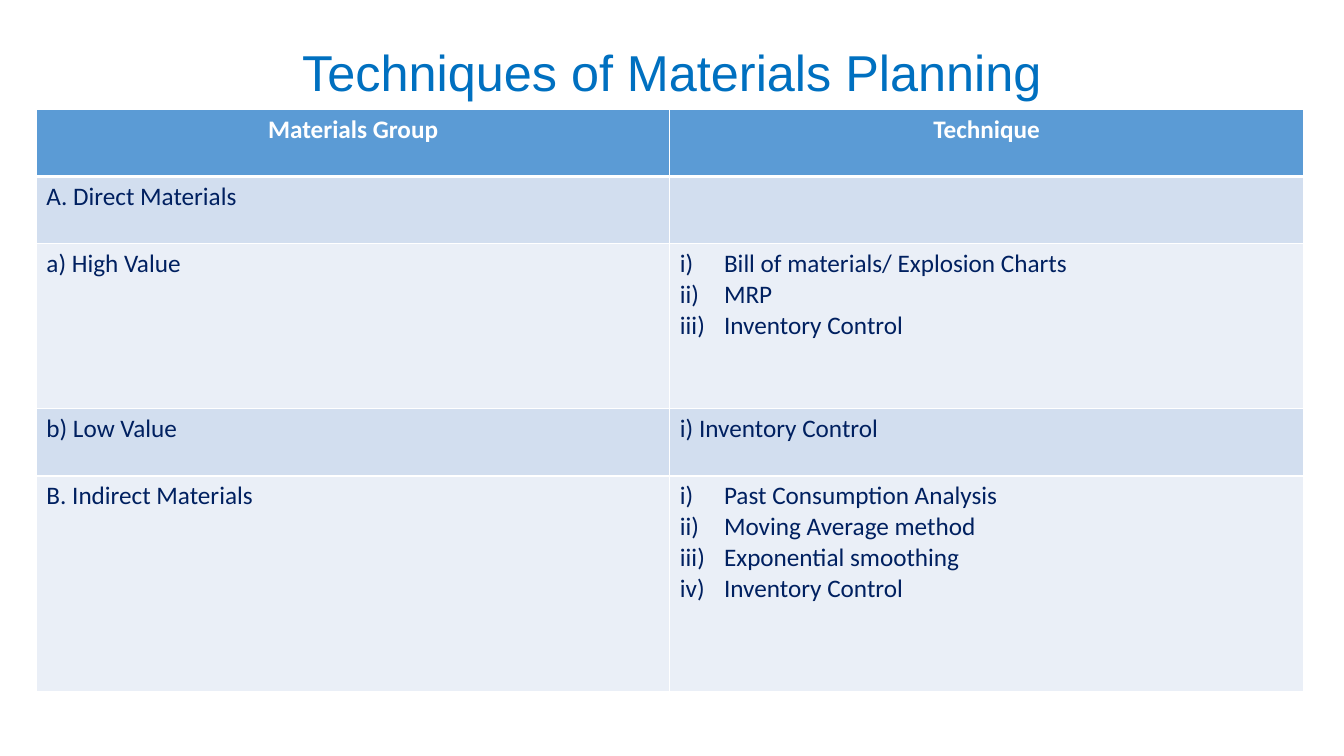
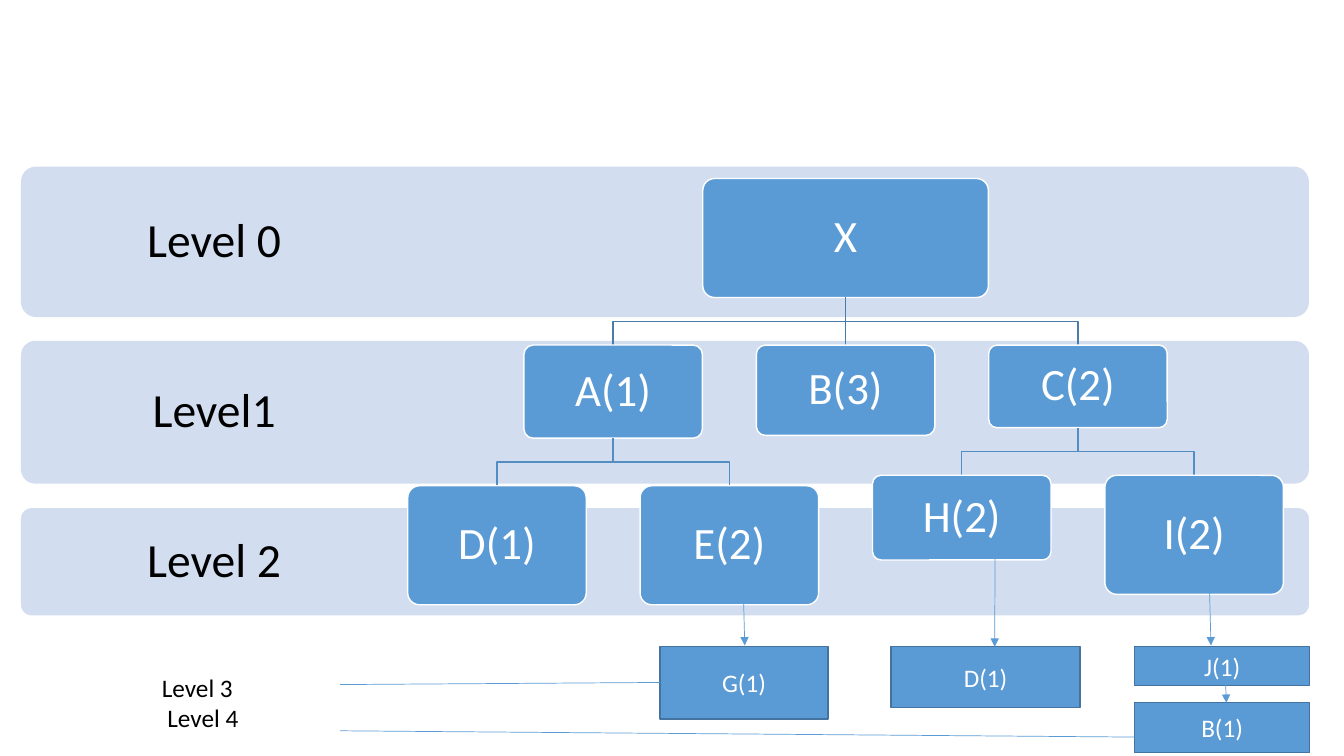
from lxml.etree import SubElement
from pptx import Presentation
from pptx.dml.color import RGBColor
from pptx.enum.shapes import MSO_CONNECTOR as Connector, MSO_SHAPE as Shape
from pptx.enum.text import MSO_ANCHOR as Anchor, MSO_AUTO_SIZE as AutoSize, PP_ALIGN as Align
from pptx.oxml.ns import qn
from pptx.util import Pt

BLUE, PALE, PALER, WHITE, BLACK = "5B9BD5", "D2DEEF", "EAEFF7", "FFFFFF", "000000"
NAVY, TITLE_BLUE, BOX_EDGE = "002060", "0070C0", "43739E"
LINK_COLORS = ["497CAB", "538DC1"]

TABLE_ROWS = [
    (48, "Materials Group", "Technique"),
    (48, "A. Direct Materials", ""),
    (118, "a) High Value", ["Bill of materials/ Explosion Charts", "MRP", "Inventory Control"]),
    (48, "b) Low Value", "i) Inventory Control"),
    (154, "B. Indirect Materials", ["Past Consumption Analysis", "Moving Average method",
                                    "Exponential smoothing", "Inventory Control"]),
]

LEVELS = [("Level 2", 363, 76.5), ("Level1", 243.5, 102), ("Level 0", 119, 107.5)]
BAND_LEFT, BAND_WIDTH, LABEL_WIDTH = 15, 920, 276

FIRST_CENTER, SLOT, LINK_DROP = 355, 166, 34
PART_WIDTH = 127.5
PRODUCT = ("X", 1.5, 85, [
    ("A(1)", 0.5, 66.5, [("D(1)", 0, 85, []), ("E(2)", 1, 85, [])]),
    ("B(3)", 1.5, 64.5, []),
    ("C(2)", 2.5, 59, [("H(2)", 2, 60.5, []), ("I(2)", 3, 85, [])]),
])

LOWER_PARTS = [
    ("G(1)", 471.5, 462, 120, 51.5),
    ("D(1)", 636.5, 462, 135, 43.5),
    ("J(1)", 810.5, 462, 125, 27.5),
    ("B(1)", 810.5, 502, 125, 35.5),
]
ARROWS = [
    (531, 423.5, 532, 461),
    (710.8, 397, 710.5, 462),
    (864, 423.5, 865, 461),
    (875.5, 489, 876, 502),
]
LEVEL_LINES = [(471.5, 487.5, 243, 489), (810.5, 526.5, 243, 522)]


def rgb(value):
    return RGBColor.from_string(value)


def write(frame, text, size=18, color=BLACK, font="Calibri", bold=False, align=Align.LEFT,
          spacing=1.0, anchor=Anchor.TOP, inset=None, indents=(), numbered=False):
    frame.word_wrap = True
    frame.auto_size = AutoSize.NONE
    frame.vertical_anchor = anchor
    if inset is not None:
        frame.margin_left = frame.margin_right = Pt(inset)
        frame.margin_top = frame.margin_bottom = Pt(inset)
    lines = [text] if isinstance(text, str) else text
    for index, line in enumerate(lines):
        paragraph = frame.paragraphs[0] if index == 0 else frame.add_paragraph()
        paragraph.text = line
        properties = paragraph._p.get_or_add_pPr()
        if numbered:
            properties.set("marL", str(Pt(31.5)))
            properties.set("indent", str(-Pt(31.5)))
            SubElement(properties, qn("a:buAutoNum"), type="romanLcParenR")
        elif indents:
            properties.set("marL", str(Pt(indents[index])))
        paragraph.alignment = align
        paragraph.line_spacing = spacing
        style = paragraph.font
        style.size, style.name, style.bold = Pt(size), font, bold
        style.color.rgb = rgb(color)


def add_block(slide, kind, left, top, width, height, fill, edge=None):
    block = slide.shapes.add_shape(kind, Pt(left), Pt(top), Pt(width), Pt(height))
    block.shadow.inherit = False
    block.fill.solid()
    block.fill.fore_color.rgb = rgb(fill)
    if edge:
        block.line.color.rgb = rgb(edge)
        block.line.width = Pt(1)
    else:
        block.line.fill.background()
    if kind == Shape.ROUNDED_RECTANGLE:
        block.adjustments[0] = 0.1
    return block


def add_line(slide, start_x, start_y, end_x, end_y, color=BLUE, width=0.5, arrow=False):
    line = slide.shapes.add_connector(
        Connector.STRAIGHT, Pt(start_x), Pt(start_y), Pt(end_x), Pt(end_y))
    line.line.color.rgb = rgb(color)
    line.line.width = Pt(width)
    if arrow:
        SubElement(line.line._get_or_add_ln(), qn("a:tailEnd"), type="triangle")
    SubElement(line._element.spPr, qn("a:effectLst"))


def add_link(slide, start_x, start_y, end_x, end_y, color):
    if start_x == end_x:
        add_line(slide, start_x, start_y, end_x, end_y, color, 1)
        return
    middle = (start_y + end_y) / 2
    builder = slide.shapes.build_freeform(Pt(start_x), Pt(start_y))
    bends = [(start_x, middle), (end_x, middle), (end_x, end_y)]
    builder.add_line_segments([(Pt(x), Pt(y)) for x, y in bends], close=False)
    link = builder.convert_to_shape()
    link.shadow.inherit = False
    link.fill.background()
    link.line.color.rgb = rgb(color)
    link.line.width = Pt(1)


def add_part(slide, part, top, depth=0):
    name, slot, height, children = part
    center = FIRST_CENTER + SLOT * slot
    width = PART_WIDTH if depth else 204
    box = add_block(slide, Shape.ROUNDED_RECTANGLE, center - width / 2, top, width, height,
                    BLUE, WHITE)
    write(box.text_frame, name, size=32, color=WHITE, align=Align.CENTER, spacing=0.9,
          anchor=Anchor.MIDDLE, inset=9.5)
    bottom = top + height
    for child in children:
        child_top = bottom + LINK_DROP
        add_link(slide, center, bottom, FIRST_CENTER + SLOT * child[1], child_top,
                 LINK_COLORS[depth])
        add_part(slide, child, child_top, depth + 1)


def add_level(slide, label, top, height):
    band = add_block(slide, Shape.ROUNDED_RECTANGLE, BAND_LEFT, top, BAND_WIDTH, height, PALE)
    write(band.text_frame, label, size=34, align=Align.CENTER, spacing=0.9,
          anchor=Anchor.MIDDLE, inset=18.5)
    band.text_frame.margin_right = Pt(BAND_WIDTH - LABEL_WIDTH + 18.5)


def set_borders(cell, row):
    widths = {"L": 1, "R": 1, "T": 3 if row == 1 else 1, "B": 3 if row == 0 else 1}
    for side, width in widths.items():
        border = SubElement(cell._tc.get_or_add_tcPr(), qn("a:ln" + side), w=str(Pt(width)))
        SubElement(SubElement(border, qn("a:solidFill")), qn("a:srgbClr"), val=WHITE)


def add_techniques(slide):
    total = sum(height for height, *_ in TABLE_ROWS)
    table = slide.shapes.add_table(
        len(TABLE_ROWS), 2, Pt(26), Pt(78), Pt(905), Pt(total)).table
    for row, (height, *entries) in enumerate(TABLE_ROWS):
        table.rows[row].height = Pt(height)
        header = row == 0
        for column, entry in enumerate(entries):
            cell = table.cell(row, column)
            set_borders(cell, row)
            cell.fill.solid()
            cell.fill.fore_color.rgb = rgb(BLUE if header else PALE if row % 2 else PALER)
            write(cell.text_frame, entry, color=WHITE if header else NAVY, bold=header,
                  align=Align.CENTER if header else Align.LEFT,
                  numbered=isinstance(entry, list))


def build_techniques(deck):
    slide = deck.slides.add_slide(deck.slide_layouts[5])
    title = slide.shapes.title
    title.left, title.top, title.width, title.height = Pt(66), Pt(29), Pt(828), Pt(49)
    write(title.text_frame, "Techniques of Materials Planning", size=36, color=TITLE_BLUE,
          font="Arial", align=Align.CENTER, spacing=0.9, anchor=Anchor.MIDDLE)
    add_techniques(slide)


def build_product_tree(deck):
    slide = deck.slides.add_slide(deck.slide_layouts[6])
    for level in LEVELS:
        add_level(slide, *level)
    add_part(slide, PRODUCT, 127.5)
    for name, *place in LOWER_PARTS:
        box = add_block(slide, Shape.RECTANGLE, *place, BLUE, BOX_EDGE)
        write(box.text_frame, name, color=WHITE, align=Align.CENTER, anchor=Anchor.MIDDLE)
    for ends in ARROWS:
        add_line(slide, *ends, arrow=True)
    for ends in LEVEL_LINES:
        add_line(slide, *ends)
    labels = slide.shapes.add_textbox(Pt(72), Pt(476.5), Pt(171), Pt(51))
    write(labels.text_frame, ["Level 3", "Level 4"], indents=(36.5, 40.5))


def main():
    deck = Presentation()
    deck.slide_width, deck.slide_height = Pt(960), Pt(540)
    build_techniques(deck)
    build_product_tree(deck)
    deck.save("out.pptx")


if __name__ == "__main__":
    main()
